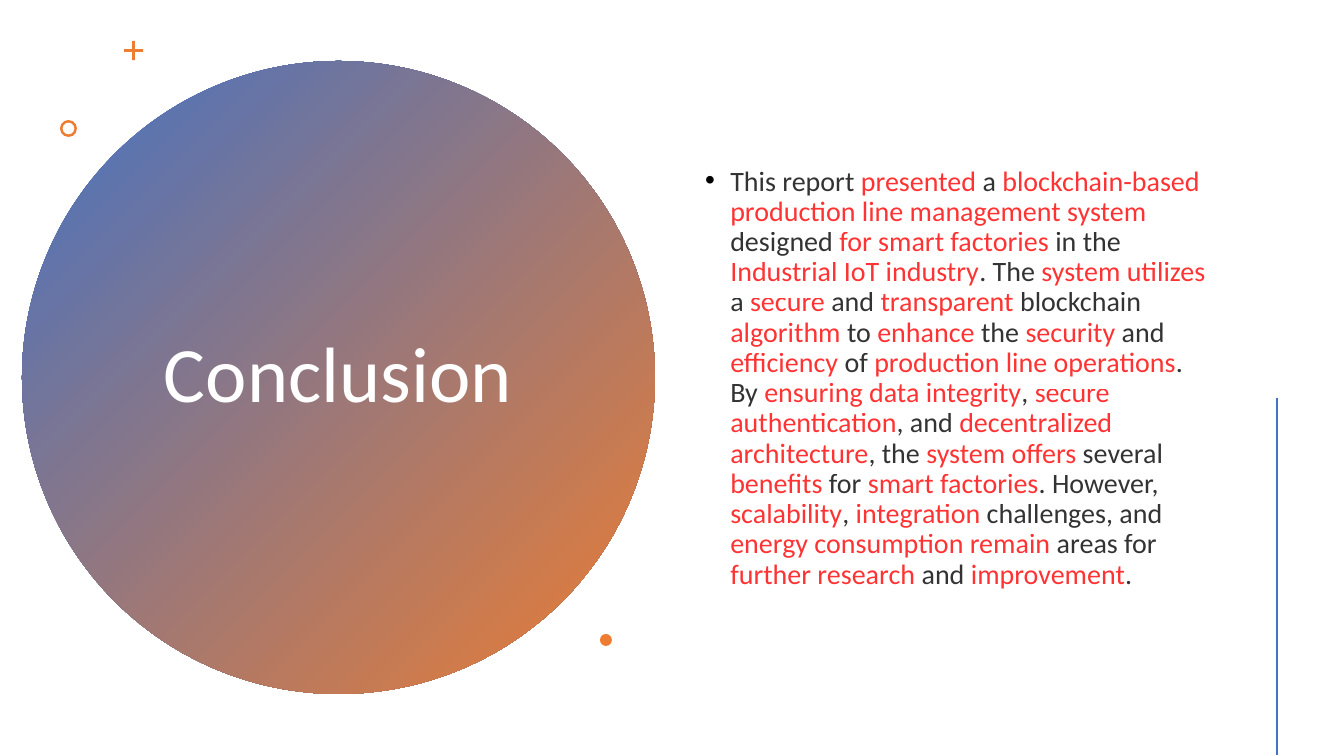
from lxml import etree
from pptx import Presentation
from pptx.dml.color import RGBColor
from pptx.enum.shapes import MSO_CONNECTOR, MSO_SHAPE
from pptx.enum.text import MSO_ANCHOR, MSO_AUTO_SIZE, PP_ALIGN
from pptx.oxml.ns import qn
from pptx.util import Inches, Pt

OVAL, CROSS, DONUT = MSO_SHAPE.OVAL, MSO_SHAPE.CROSS, MSO_SHAPE.DONUT
STRAIGHT = MSO_CONNECTOR.STRAIGHT
MIDDLE, CENTER = MSO_ANCHOR.MIDDLE, PP_ALIGN.CENTER
NO_AUTOFIT = MSO_AUTO_SIZE.NONE

BLUE = RGBColor(0x44, 0x72, 0xC4)
ORANGE = RGBColor(0xED, 0x7D, 0x31)
WHITE = RGBColor(0xFF, 0xFF, 0xFF)
BLACK = RGBColor(0x00, 0x00, 0x00)
RED = RGBColor(0xFF, 0x00, 0x00)
FONT = "Calibri"
PX = Inches(7.5) / 756

# Key phrases stand between asterisks
SUMMARY = (
    "This report *presented* a *blockchain-based production line management system *"
    "designed *for smart factories *in the *Industrial IoT industry*. "
    "The *system utilizes* a *secure* and *transparent* blockchain *algorithm* to "
    "*enhance* the *security* and *efficiency* of *production line operations*. "
    "By *ensuring data integrity*, *secure authentication*, and "
    "*decentralized architecture*, the *system offers* several *benefits* for "
    "*smart factories*. However, *scalability*, *integration* challenges, and "
    "*energy consumption remain* areas for *further research* and *improvement*."
)


def px(*lengths):
    return [round(length * PX) for length in lengths]


def place(placeholder, left, top, width, height):
    placeholder.left, placeholder.top, placeholder.width, placeholder.height = px(
        left, top, width, height)
    frame = placeholder.text_frame
    frame.word_wrap = True
    frame.auto_size = NO_AUTOFIT
    frame.vertical_anchor = MIDDLE
    return frame.paragraphs[0]


prs = Presentation()
prs.slide_width, prs.slide_height = px(1344, 756)
slide = prs.slides.add_slide(prs.slide_layouts[1])
title, body = slide.placeholders

# Gradient circle, behind the title
circle = slide.shapes.add_shape(OVAL, *px(22, 61, 633, 633))
circle.shadow.inherit = False
circle.line.fill.background()
circle.fill.gradient()
circle.fill.gradient_angle = 315
for stop, color, position in zip(circle.fill.gradient_stops, (BLUE, ORANGE), (0, 1)):
    stop.color.rgb = color
    stop.position = position
title._element.addprevious(circle._element)

# Title
heading = place(title, 137, 142, 402, 471)
heading.text = "Conclusion"
heading.alignment = CENTER
heading.line_spacing = 0.9
heading.font.size = Pt(56)
heading.font.name = FONT
heading.font.color.rgb = WHITE

# Summary bullet
summary = place(body, 695, 57, 526, 643)
props = summary._p.get_or_add_pPr()
props.set("marL", str(Inches(0.25)))
props.set("indent", str(-Inches(0.25)))
bullet_color = etree.SubElement(props, qn("a:buClr"))
etree.SubElement(bullet_color, qn("a:srgbClr"), val=str(BLACK))
etree.SubElement(props, qn("a:buFont"), typeface="Arial")
etree.SubElement(props, qn("a:buChar"), char="•")
summary.line_spacing = 0.9
summary.space_before = Pt(0)
summary.font.size = Pt(20)
summary.font.name = FONT
for index, phrase in enumerate(SUMMARY.split("*")):
    run = summary.add_run()
    run.text = phrase
    run.font.color.rgb = RED if index % 2 else BLACK
    for color in run._r.iter(qn("a:srgbClr")):
        etree.SubElement(color, qn("a:alpha"), val="80000")

# Small orange ornaments: preset, left, top, size, adjustment
for preset, left, top, size, adjustment in (
    (CROSS, 124, 41, 19, 0.43),
    (DONUT, 60, 120, 17, 0.15),
    (OVAL, 600, 634, 12, None),
):
    ornament = slide.shapes.add_shape(preset, *px(left, top, size, size))
    ornament.shadow.inherit = False
    ornament.fill.solid()
    ornament.fill.fore_color.rgb = ORANGE
    ornament.line.fill.background()
    if adjustment:
        ornament.adjustments[0] = adjustment

# Vertical accent line
accent = slide.shapes.add_connector(STRAIGHT, *px(1277, 398, 1277, 755))
accent.line.color.rgb = BLUE
accent.line.width = Pt(2)
etree.SubElement(accent._element.spPr, qn("a:effectLst"))

prs.save("out.pptx")
